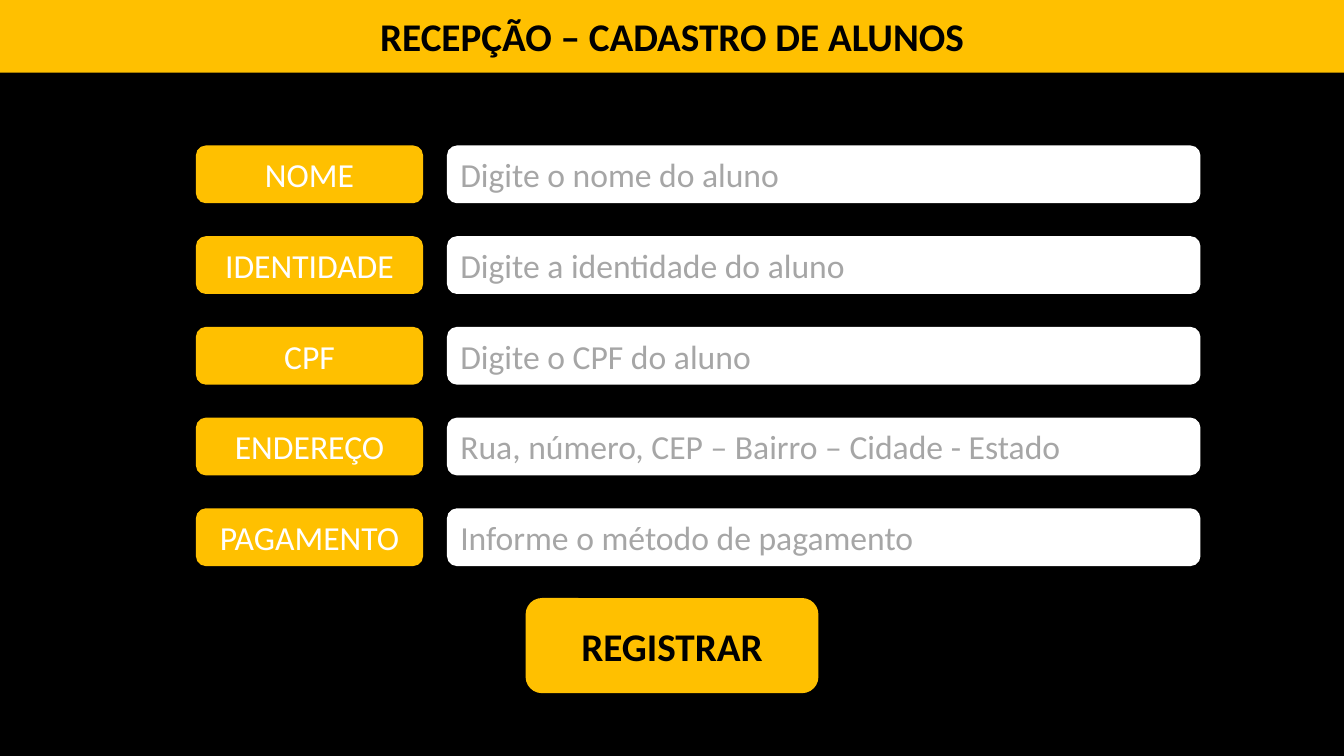
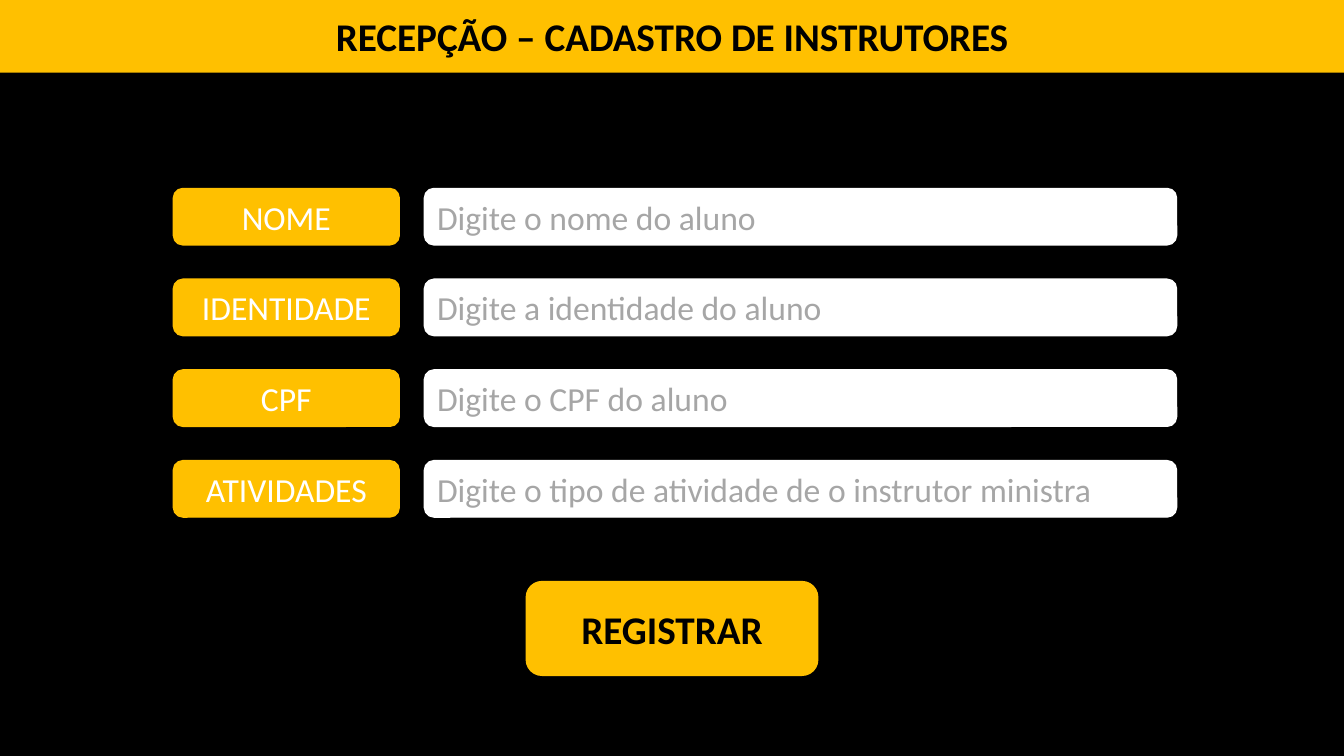
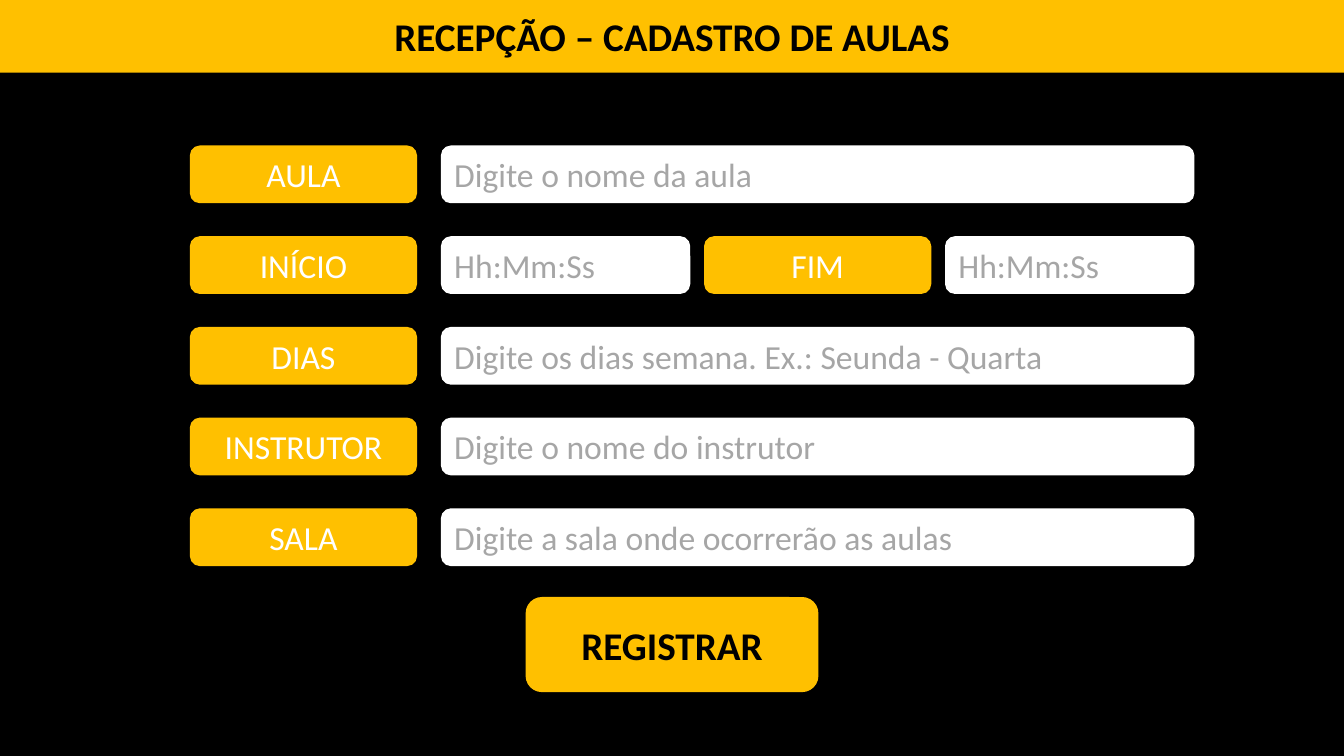
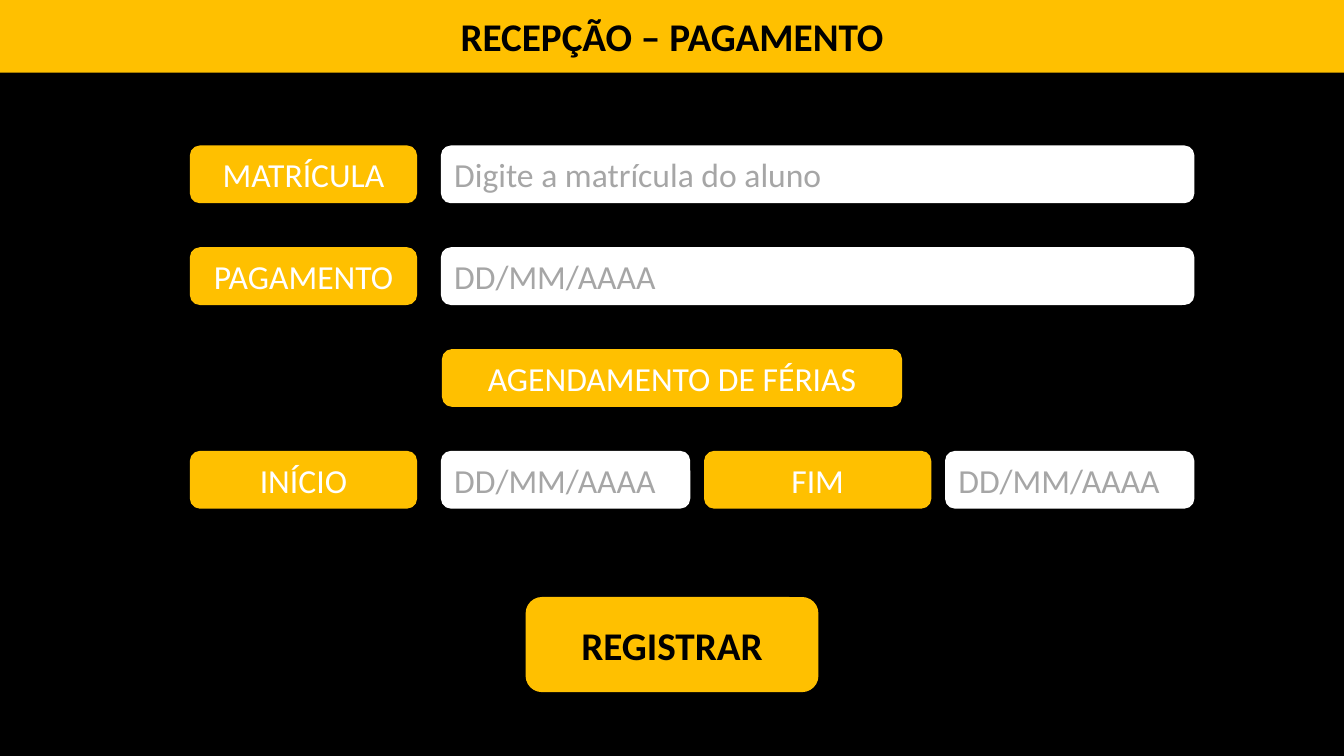
from pptx import Presentation
from pptx.dml.color import RGBColor
from pptx.enum.shapes import MSO_SHAPE
from pptx.enum.text import MSO_ANCHOR, PP_ALIGN
from pptx.util import Inches, Pt

RECT, ROUNDED = MSO_SHAPE.RECTANGLE, MSO_SHAPE.ROUNDED_RECTANGLE
LEFT, CENTER, MIDDLE = PP_ALIGN.LEFT, PP_ALIGN.CENTER, MSO_ANCHOR.MIDDLE

BLACK = RGBColor(0x00, 0x00, 0x00)
WHITE = RGBColor(0xFF, 0xFF, 0xFF)
AMBER = RGBColor(0xFF, 0xC0, 0x00)
HINT_GRAY = RGBColor(0xA6, 0xA6, 0xA6)
FONT = "Calibri"

# Content: a row holds one heading, one label and hint, or two such pairs
FORMS = [
    {
        "title": "RECEPÇÃO – CADASTRO DE ALUNOS",
        "left": 1.95, "top": 1.45, "pitch": 0.9, "button_top": 5.94,
        "rows": [
            ("NOME", "Digite o nome do aluno"),
            ("IDENTIDADE", "Digite a identidade do aluno"),
            ("CPF", "Digite o CPF do aluno"),
            ("ENDEREÇO", "Rua, número, CEP – Bairro – Cidade - Estado"),
            ("PAGAMENTO", "Informe o método de pagamento"),
        ],
    },
    {
        "title": "RECEPÇÃO – CADASTRO DE INSTRUTORES",
        "left": 1.72, "top": 1.87, "pitch": 0.9, "button_top": 5.77,
        "rows": [
            ("NOME", "Digite o nome do aluno"),
            ("IDENTIDADE", "Digite a identidade do aluno"),
            ("CPF", "Digite o CPF do aluno"),
            ("ATIVIDADES", "Digite o tipo de atividade de o instrutor ministra"),
        ],
    },
    {
        "title": "RECEPÇÃO – CADASTRO DE AULAS",
        "left": 1.89, "top": 1.45, "pitch": 0.9, "button_top": 5.93,
        "rows": [
            ("AULA", "Digite o nome da aula"),
            ("INÍCIO", "Hh:Mm:Ss", "FIM", "Hh:Mm:Ss"),
            ("DIAS", "Digite os dias semana. Ex.: Seunda - Quarta"),
            ("INSTRUTOR", "Digite o nome do instrutor"),
            ("SALA", "Digite a sala onde ocorrerão as aulas"),
        ],
    },
    {
        "title": "RECEPÇÃO – PAGAMENTO",
        "left": 1.89, "top": 1.45, "pitch": 1.01, "button_top": 5.93,
        "rows": [
            ("MATRÍCULA", "Digite a matrícula do aluno"),
            ("PAGAMENTO", "DD/MM/AAAA"),
            ("AGENDAMENTO DE FÉRIAS",),
            ("INÍCIO", "DD/MM/AAAA", "FIM", "DD/MM/AAAA"),
        ],
    },
]

# Measures in inches
SLIDE_W, SLIDE_H = 13.33, 7.5
BAND_H = 0.72
ROW_H = 0.56
LABEL_W, FIELD_W, HEADING_W = 2.24, 7.46, 4.55
LABEL_GAP, PAIR_GAP = 0.25, 0.15
HALF_FIELD_W = (FIELD_W - LABEL_W - 2 * PAIR_GAP) / 2
BUTTON_W, BUTTON_H = 2.89, 0.93


def add_box(slide, text, left, top, width, height, fill=AMBER, color=WHITE,
            size=24, bold=False, align=CENTER, outline=ROUNDED):
    box = slide.shapes.add_shape(outline, Inches(left), Inches(top),
                                 Inches(width), Inches(height))
    box.shadow.inherit = False
    box.fill.solid()
    box.fill.fore_color.rgb = fill
    if outline == RECT:
        box.line.fill.background()
    else:
        box.line.color.rgb = fill
        box.line.width = Pt(1)
    frame = box.text_frame
    frame.text = text
    frame.vertical_anchor = MIDDLE
    paragraph = frame.paragraphs[0]
    paragraph.alignment = align
    font = paragraph.runs[0].font
    font.name, font.size, font.bold = FONT, Pt(size), bold
    font.color.rgb = color


def add_row(slide, row, left, top):
    if len(row) == 1:
        add_box(slide, row[0], (SLIDE_W - HEADING_W) / 2, top, HEADING_W, ROW_H)
        return
    paired = len(row) == 4
    field_w = HALF_FIELD_W if paired else FIELD_W
    gap = LABEL_GAP
    for label, hint in zip(row[::2], row[1::2]):
        add_box(slide, label, left, top, LABEL_W, ROW_H)
        left += LABEL_W + gap
        add_box(slide, hint, left, top, field_w, ROW_H,
                fill=WHITE, color=HINT_GRAY, align=LEFT)
        left += field_w + PAIR_GAP
        gap = PAIR_GAP


def add_form(prs, form):
    slide = prs.slides.add_slide(prs.slide_layouts[6])
    # Title band
    add_box(slide, form["title"], 0, 0, SLIDE_W, BAND_H,
            color=BLACK, size=28, bold=True, outline=RECT)
    # Form rows
    for i, row in enumerate(form["rows"]):
        add_row(slide, row, form["left"], form["top"] + i * form["pitch"])
    # Submit button
    add_box(slide, "REGISTRAR", (SLIDE_W - BUTTON_W) / 2, form["button_top"],
            BUTTON_W, BUTTON_H, color=BLACK, size=28, bold=True)


def main():
    prs = Presentation()
    prs.slide_width, prs.slide_height = Inches(SLIDE_W), Inches(SLIDE_H)
    # Shared black background
    background = prs.slide_master.background.fill
    background.solid()
    background.fore_color.rgb = BLACK
    for form in FORMS:
        add_form(prs, form)
    prs.save("out.pptx")


if __name__ == "__main__":
    main()
